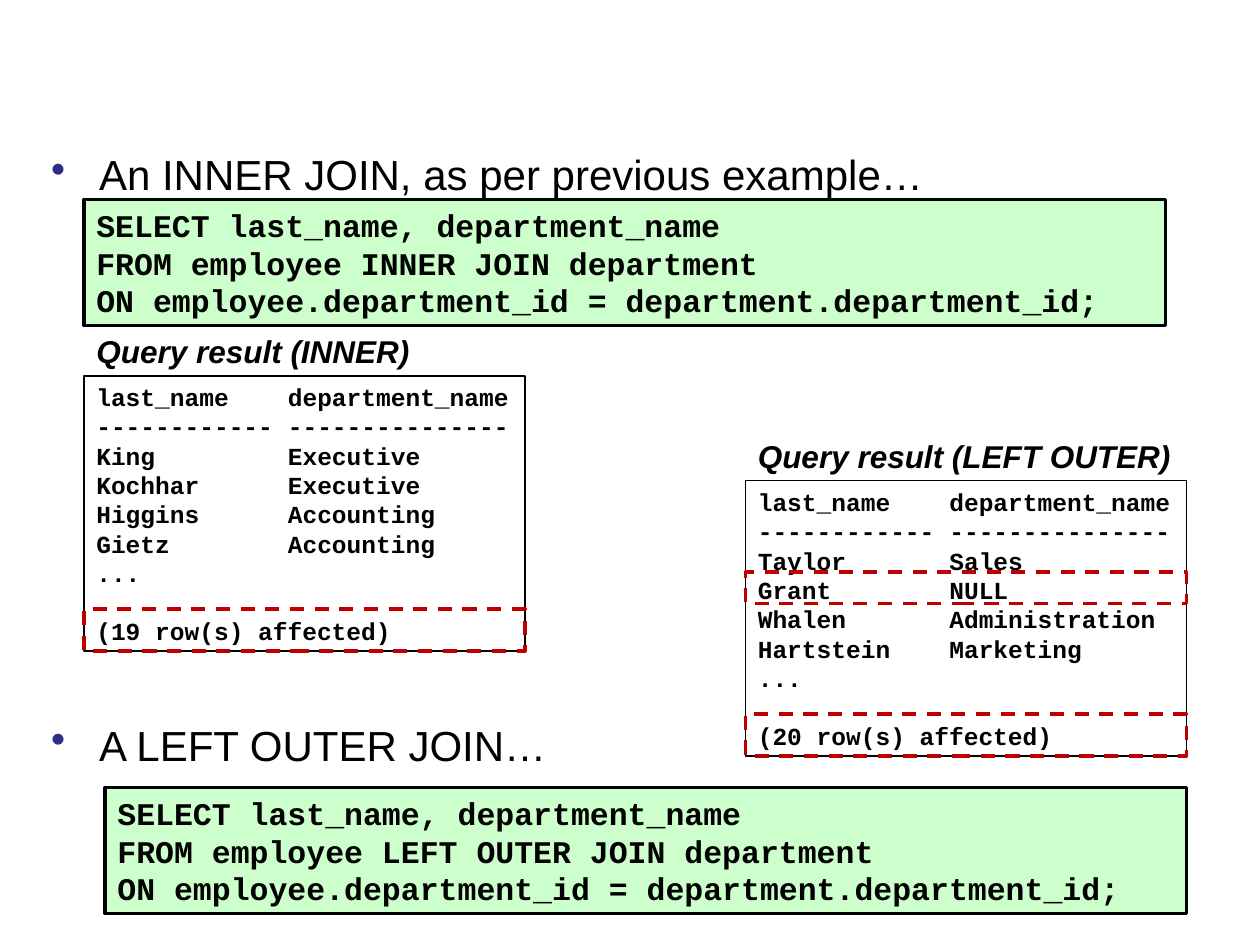
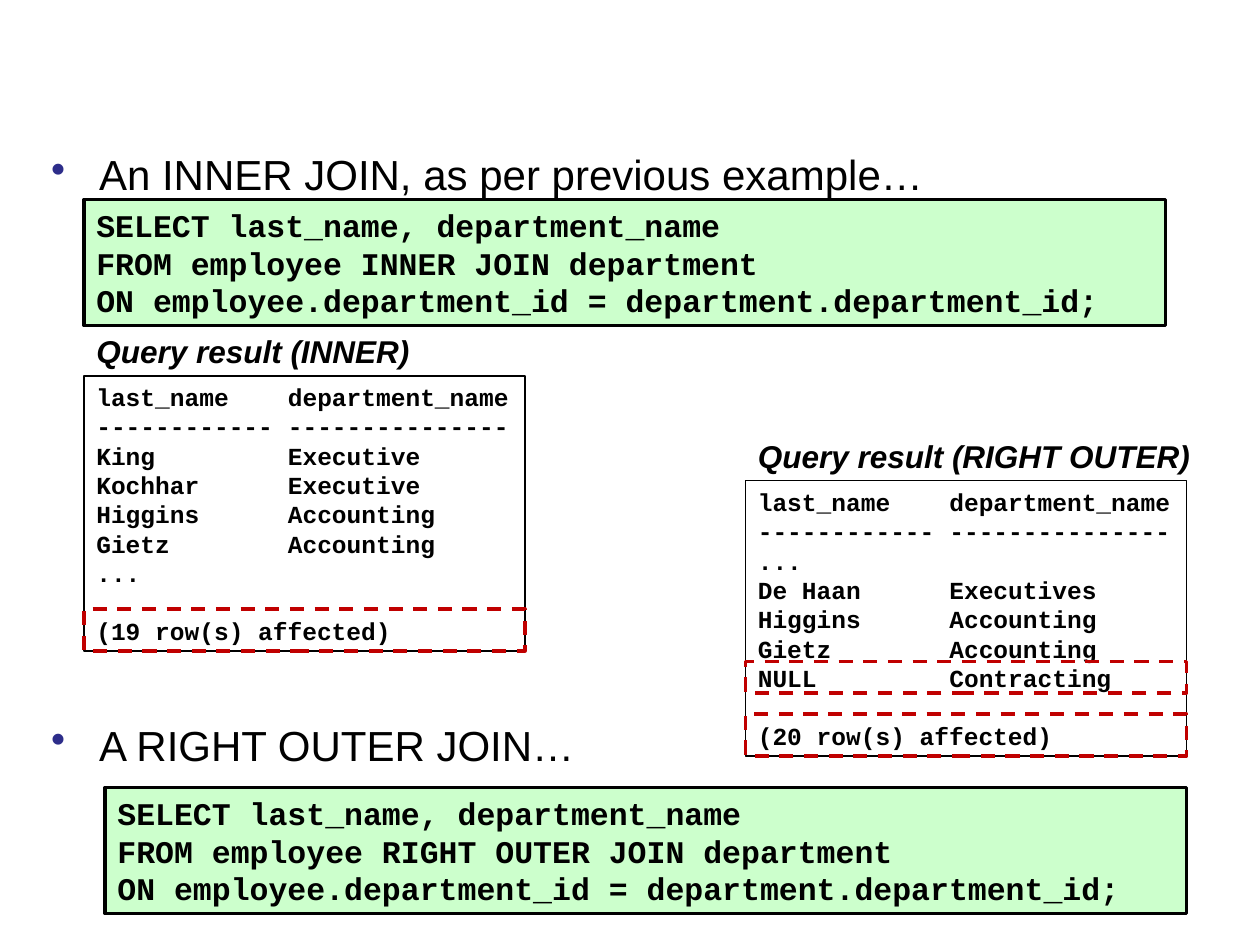
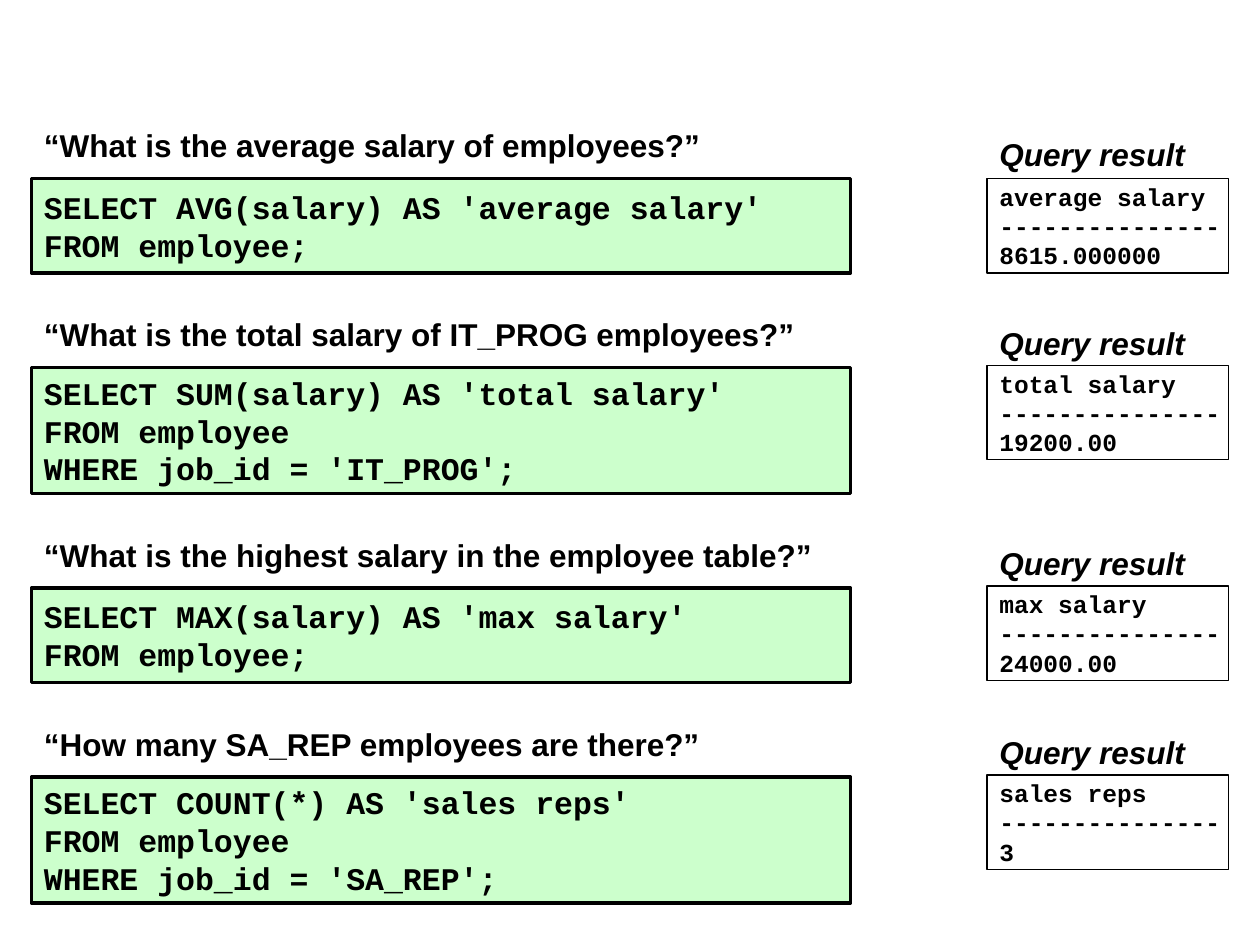
import dataclasses

import pptx
import pptx.dml.color
import pptx.enum.dml
import pptx.enum.shapes
import pptx.enum.text
import pptx.oxml.ns
import pptx.util
from lxml import etree


@dataclasses.dataclass(frozen=True)
class Theme:
    ink: str = "000000"
    code_fill: str = "CCFFCC"
    highlight: str = "C00000"
    bullet: str = "2D2D8A"
    sans: str = "Arial"
    mono: str = "Courier New"
    bullet_size: int = 24
    text_size: int = 18
    result_size: int = 14


theme = Theme()
deck = pptx.Presentation()
deck.slide_width = pptx.util.Inches(10)
deck.slide_height = pptx.util.Inches(7.5)
blank = deck.slide_layouts[6]

# Grid of 120 columns by 90 rows of square cells
cell = deck.slide_width / 120
COLUMN_TAB = 1.52  # inches: 13 monospaced characters


def place(slide, text, area, *, font=theme.sans, size=theme.text_size, bold=True,
          italic=False, fill=None, line=None, weight=0.75, dashed=False,
          tab=None, bullets=False, spacing=None, last_gap=0, top_inset=0.05):
    """Put lines of text on the grid; a line colour makes the box a rectangle."""
    area = [pptx.util.Emu(round(n * cell)) for n in area]
    if line:
        box = slide.shapes.add_shape(pptx.enum.shapes.MSO_SHAPE.RECTANGLE, *area)
        box.shadow.inherit = False
        box.line.color.rgb = pptx.dml.color.RGBColor.from_string(line)
        box.line.width = pptx.util.Pt(weight)
        if dashed:
            box.line.dash_style = pptx.enum.dml.MSO_LINE.DASH
        if fill:
            box.fill.solid()
            box.fill.fore_color.rgb = pptx.dml.color.RGBColor.from_string(fill)
        else:
            box.fill.background()
    else:
        box = slide.shapes.add_textbox(*area)

    frame = box.text_frame
    frame.word_wrap = True
    frame.margin_right = 0
    frame.margin_top = pptx.util.Inches(top_inset)
    anchors = pptx.enum.text.MSO_ANCHOR
    frame.vertical_anchor = anchors.MIDDLE if line else anchors.TOP
    for index, words in enumerate(text):
        paragraph = frame.add_paragraph() if index else frame.paragraphs[0]
        paragraph.alignment = pptx.enum.text.PP_ALIGN.LEFT
        if spacing:
            paragraph.line_spacing = spacing
        if last_gap and index == len(text) - 1:
            paragraph.space_before = pptx.util.Pt(last_gap)
        run = paragraph.add_run()
        run.text = words
        run.font.name, run.font.size = font, pptx.util.Pt(size)
        run.font.bold, run.font.italic = bold, italic
        run.font.color.rgb = pptx.dml.color.RGBColor.from_string(theme.ink)

        # Bullets and tab stops
        qn = pptx.oxml.ns.qn
        properties = paragraph._p.get_or_add_pPr()
        if bullets:
            indent = pptx.util.Inches(0.38)
            properties.set("marL", str(indent))
            properties.set("indent", str(-indent))
            colour = etree.SubElement(properties, qn("a:buClr"))
            etree.SubElement(colour, qn("a:srgbClr"), val=theme.bullet)
            etree.SubElement(properties, qn("a:buChar"), char="•")
        if tab:
            stops = etree.SubElement(properties, qn("a:tabLst"))
            etree.SubElement(stops, qn("a:tab"), pos=str(pptx.util.Inches(tab)), algn="l")


# Formats that recur
CODE = dict(font=theme.mono, fill=theme.code_fill, line=theme.ink, weight=2)
RESULT = dict(font=theme.mono, size=theme.result_size, line=theme.ink)
LABEL = dict(italic=True)
FRAME = dict(line=theme.highlight, weight=2, dashed=True)

# Join slides: an inner join beside an outer join
inner_rows = [("King", "Executive"), ("Kochhar", "Executive"),
              ("Higgins", "Accounting"), ("Gietz", "Accounting"), ("...",)]
left_rows = [("Taylor", "Sales"), ("Grant", "NULL"), ("Whalen", "Administration"),
             ("Hartstein", "Marketing"), ("...",)]
right_rows = [("...",), ("De Haan", "Executives"), ("Higgins", "Accounting"),
              ("Gietz", "Accounting"), ("NULL", "Contracting")]
headings = [("last_name", "department_name"), ("-" * 12, "-" * 15)]

for outer, outer_rows, label_width, null_row in [
        ("LEFT OUTER", left_rows, 42, 54.5),
        ("RIGHT OUTER", right_rows, 44, 63)]:
    slide = deck.slides.add_slide(blank)
    place(slide, ["An INNER JOIN, as per previous example…", f"A {outer} JOIN…"],
          (3.7, 13.1, 112.6, 74), size=theme.bullet_size, bold=False,
          bullets=True, last_gap=297, top_inset=0.09)

    # Each join: query, label, result and framed row count
    for join, rows, count, code_at, left, top, width in [
            ("INNER", inner_rows, 19, (8, 19), 8, 31, 32.5),
            (outer, outer_rows, 20, (10, 75), 71, 41, label_width)]:
        place(slide, [f"Query result ({join})"], (left, top, width, 4.8), **LABEL)
        table = ["\t".join(row) for row in headings + rows]
        place(slide, table + [f"({count} row(s) affected)"],
              (left, top + 4.8, 42, 26.2), tab=COLUMN_TAB, last_gap=16, **RESULT)
        place(slide, ["SELECT last_name, department_name",
                      f"FROM employee {join} JOIN department",
                      "ON employee.department_id = department.department_id;"],
              (*code_at, 103, 12), **CODE)
        place(slide, [], (left, top + 27, 42, 4), **FRAME)

    # Row that only the outer join returns
    place(slide, [], (71, null_row, 42, 3), **FRAME)

# Aggregate functions: question, query and result in each band
slide = deck.slides.add_slide(blank)
for top, result_top, question, query, name, value in [
        (12, 17, "“What is the average salary of employees?”",
         ["SELECT AVG(salary) AS 'average salary'", "FROM employee;"],
         "average salary", "8615.000000"),
        (30, 34.8, "“What is the total salary of IT_PROG employees?”",
         ["SELECT SUM(salary) AS 'total salary'", "FROM employee",
          "WHERE job_id = 'IT_PROG';"],
         "total salary", "19200.00"),
        (51, 55.8, "“What is the highest salary in the employee table?”",
         ["SELECT MAX(salary) AS 'max salary'", "FROM employee;"],
         "max salary", "24000.00"),
        (69, 73.8, "“How many SA_REP employees are there?”",
         ["SELECT COUNT(*) AS 'sales reps'", "FROM employee",
          "WHERE job_id = 'SA_REP';"],
         "sales reps", "3")]:
    place(slide, [question], (3, top, 81, 4.3), spacing=0.85)
    place(slide, ["Query result"], (94, top + 0.25, 23, 4.8), **LABEL)
    place(slide, [name, "-" * 15, value], (94, result_top, 23, 9), **RESULT)
    place(slide, query, (3, top + 5, 78, 3 + 3 * len(query)), **CODE)

deck.save("out.pptx")
